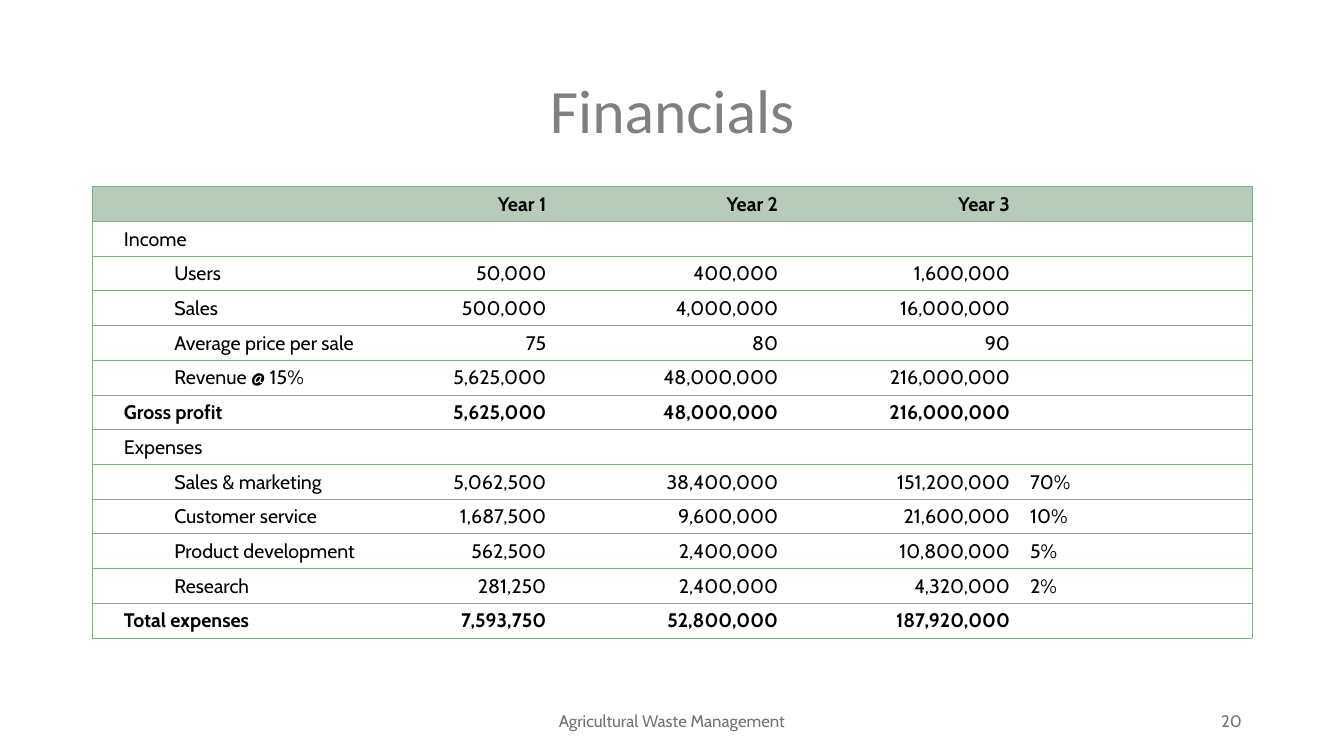
from lxml.etree import SubElement
from pptx import Presentation
from pptx.dml.color import RGBColor
from pptx.enum.text import MSO_ANCHOR as Anchor, MSO_AUTO_SIZE as AutoSize, PP_ALIGN as Align
from pptx.oxml.ns import qn
from pptx.util import Pt

COLORS = {
    "title": "808080",
    "footer": "767171",
    "text": "000000",
    "header": "B8CBBB",
    "border": "88A88E",
}
TITLE_FORMAT = {"name": "Calibri", "size": Pt(44), "bold": False}
CELL_FORMAT = {"name": "Cabin", "size": Pt(14), "bold": False}
FOOTER_FORMAT = {"name": "Cabin", "size": Pt(12), "bold": False}
NO_TABLE_STYLE = "{2D5ABB26-0587-4C30-8999-92F81FD0307C}"
COLUMN_WIDTHS = [215.28, 115.92, 165.6, 165.6, 165.6]
ROW_HEIGHT = 24.81
HEADER, SECTION, ITEM, TOTAL = "header", "section", "item", "total"
ROWS = [
    (HEADER, ["", "Year 1", "Year 2", "Year 3", ""]),
    (SECTION, ["Income", "", "", "", ""]),
    (ITEM, ["Users", "50,000", "400,000", "1,600,000", ""]),
    (ITEM, ["Sales", "500,000", "4,000,000", "16,000,000", ""]),
    (ITEM, ["Average price per sale", "75", "80", "90", ""]),
    (ITEM, ["Revenue @ 15%", "5,625,000", "48,000,000", "216,000,000", ""]),
    (TOTAL, ["Gross profit", "5,625,000", "48,000,000", "216,000,000", ""]),
    (SECTION, ["Expenses", "", "", "", ""]),
    (ITEM, ["Sales & marketing", "5,062,500", "38,400,000", "151,200,000", "70%"]),
    (ITEM, ["Customer service", "1,687,500", "9,600,000", "21,600,000", "10%"]),
    (ITEM, ["Product development", "562,500", "2,400,000", "10,800,000", "5%"]),
    (ITEM, ["Research", "281,250", "2,400,000", "4,320,000", "2%"]),
    (TOTAL, ["Total expenses", "7,593,750", "52,800,000", "187,920,000", ""]),
]


def write_text(paragraph, text, values, color, alignment):
    paragraph.alignment = alignment
    run = paragraph.add_run()
    run.text = text
    for name, value in values.items():
        setattr(run.font, name, value)
    run.font.color.rgb = RGBColor.from_string(COLORS[color])


def add_title(slide, text):
    title = slide.shapes.title
    title.left, title.top, title.width, title.height = Pt(66.24), Pt(28.8), Pt(828), Pt(104.4)
    frame = title.text_frame
    frame.auto_size = AutoSize.NONE
    frame.vertical_anchor = Anchor.MIDDLE
    paragraph = frame.paragraphs[0]
    paragraph.line_spacing = 0.9
    write_text(paragraph, text, TITLE_FORMAT, "title", Align.CENTER)


def add_footer(slide, text, left, width, alignment):
    box = slide.shapes.add_textbox(Pt(left), Pt(500.4), Pt(width), Pt(28.8))
    frame = box.text_frame
    frame.word_wrap = True
    frame.vertical_anchor = Anchor.MIDDLE
    write_text(frame.paragraphs[0], text, FOOTER_FORMAT, "footer", alignment)


def set_borders(cell, sides):
    properties = cell._tc.get_or_add_tcPr()
    for side in sides:
        line = SubElement(properties, qn(f"a:ln{side}"), w=str(Pt(0.5)))
        fill = SubElement(line, qn("a:solidFill"))
        SubElement(fill, qn("a:srgbClr"), val=COLORS["border"])


def fill_cell(cell, text, kind, column):
    last = len(COLUMN_WIDTHS) - 1
    set_borders(cell, {0: "LTB", last: "RTB"}.get(column, "TB"))
    if kind == HEADER:
        cell.fill.solid()
        cell.fill.fore_color.rgb = RGBColor.from_string(COLORS["header"])
    else:
        cell.fill.background()
    cell.vertical_anchor = Anchor.BOTTOM
    paragraph = cell.text_frame.paragraphs[0]
    if not text:
        SubElement(paragraph._p, qn("a:endParaRPr"), sz="1400")
        return
    if column == 0:
        cell.margin_left = Pt(22.32)
        if kind == ITEM:
            paragraph.level = 1
            paragraph._p.get_or_add_pPr().set("marL", str(Pt(36)))
    alignment = Align.LEFT if column in (0, last) else Align.RIGHT
    values = {**CELL_FORMAT, "bold": kind in (HEADER, TOTAL)}
    write_text(paragraph, text, values, "text", alignment)


def add_financials_table(slide):
    frame = slide.shapes.add_table(
        len(ROWS), len(COLUMN_WIDTHS), Pt(66.24), Pt(133.2),
        Pt(sum(COLUMN_WIDTHS)), Pt(ROW_HEIGHT * len(ROWS)))
    table = frame.table
    table.horz_banding = False
    table._tbl.tblPr.find(qn("a:tableStyleId")).text = NO_TABLE_STYLE
    for column, width in zip(table.columns, COLUMN_WIDTHS):
        column.width = Pt(width)
    for row, (kind, texts) in zip(table.rows, ROWS):
        row.height = Pt(ROW_HEIGHT)
        for column, text in enumerate(texts):
            fill_cell(row.cells[column], text, kind, column)


def main():
    presentation = Presentation()
    presentation.slide_width, presentation.slide_height = Pt(960), Pt(540)
    slide = presentation.slides.add_slide(presentation.slide_layouts[5])
    add_financials_table(slide)
    add_title(slide, "Financials")
    add_footer(slide, "Agricultural Waste Management", 318, 324, Align.CENTER)
    add_footer(slide, "20", 678.24, 216, Align.RIGHT)
    presentation.save("out.pptx")


if __name__ == "__main__":
    main()
